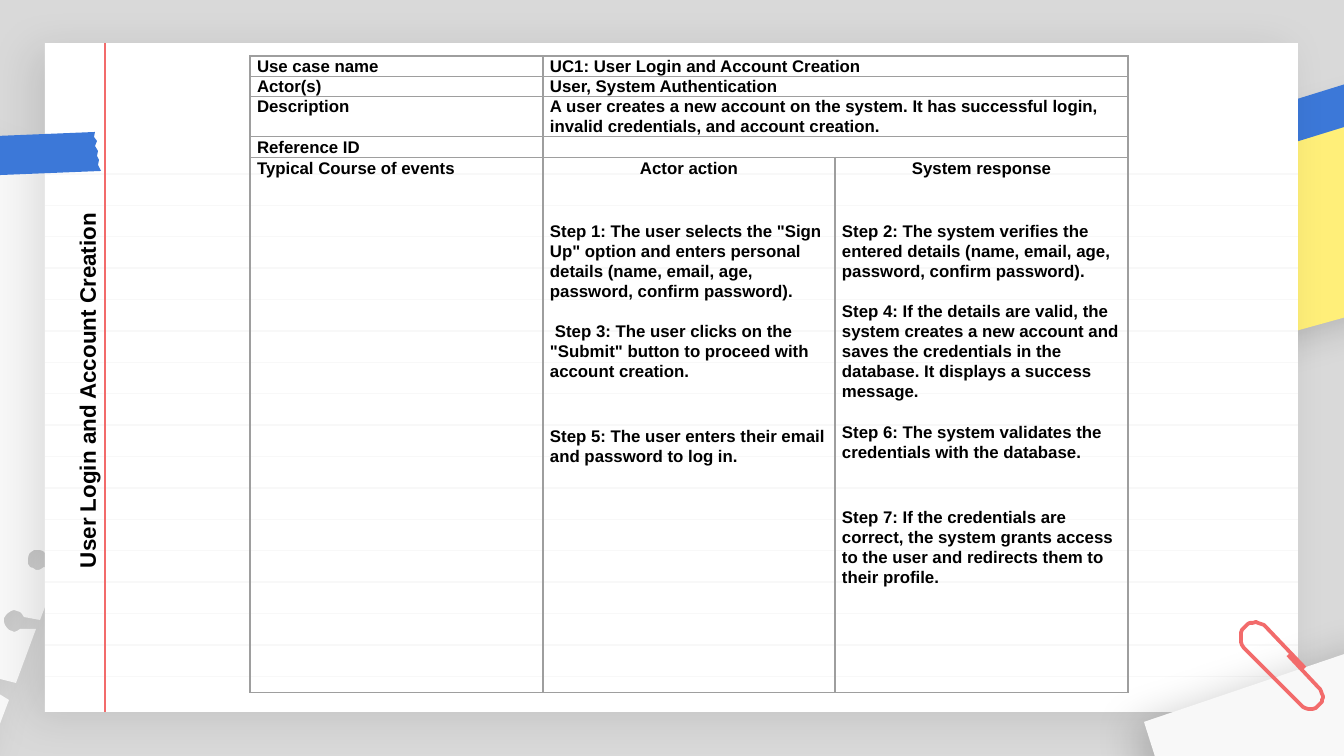
from pptx import Presentation
from pptx.dml.color import RGBColor
from pptx.enum.shapes import MSO_CONNECTOR as Conn, MSO_SHAPE as Kind
from pptx.enum.text import MSO_ANCHOR as Anchor, PP_ALIGN as Align
from pptx.oxml import parse_xml
from pptx.oxml.ns import nsdecls
from pptx.util import Pt

SCALE = 914400 / 134.4
WIDE, HIGH = 1344, 756
FONT = "Arial"
TITLE = "User Login and Account Creation"
HEAD = [
    ("Use case name", "UC1: User Login and Account Creation"),
    ("Actor(s)", "User, System Authentication"),
    ("Description", "A user creates a new account on the system. It has successful login, "
                    "invalid credentials, and account creation."),
    ("Reference ID", ""),
]
EVENTS = "Typical Course of events"
STEPS = [
    ("Actor action", [
        (23, 0, 'Step 1: The user selects the "Sign Up" option and enters personal '
                'details (name, email, age, password, confirm password).'),
        (10.75, 5, 'Step 3: The user clicks on the "Submit" button to proceed with account creation.'),
        (24, 0, "Step 5: The user enters their email and password to log in."),
    ]),
    ("System response", [
        (23, 0, "Step 2: The system verifies the entered details (name, email, age, "
                "password, confirm password)."),
        (10.75, 0, "Step 4: If the details are valid, the system creates a new account and saves "
                   "the credentials in the database. It displays a success message."),
        (10.75, 0, "Step 6: The system validates the credentials with the database."),
        (24, 0, "Step 7: If the credentials are correct, the system grants access to the "
                "user and redirects them to their profile."),
    ]),
]
COLS = [293, 292, 293]
ROWS = [20, 20, 40, 21, 535]

NOTE = [(1220, 145), (1274, 337), (1516, 270), (1462, 78)]
STRIP = [(1273, 149), (1274, 144), (1270, 140), (1270, 133), (1267, 129), (1267, 124),
         (1265, 120), (1265, 116), (1262, 110), (1394, 69), (1392, 75), (1396, 78),
         (1395, 85), (1399, 89), (1398, 94), (1402, 97), (1402, 103), (1406, 108)]
SHEET = [(-531, 632), (-316, 66), (-269, 44), (192, 219), (63, 559), (47, 556),
         (43, 547, 30, 547, 28, 558), (25, 567, 38, 574, 44, 567), (58, 573),
         (40, 620), (24, 617), (20, 607, 7, 609, 4, 618), (3, 629, 13, 636, 20, 629),
         (36, 629), (16, 683), (0, 679), (-3, 671, -16, 671, -19, 680),
         (-22, 688, -12, 696, -4, 692), (9, 700), (-7, 742), (-50, 855), (-508, 680)]
CORNER = [(1380, 642), (1443, 832), (1204, 911), (1144, 722)]
CLIP = [(1305, 668), (1266, 627), (1260, 621, 1251, 621, 1246, 626),
        (1240, 631, 1239, 640, 1244, 648), (1301, 705),
        (1306, 710, 1315, 711, 1320, 704), (1325, 699, 1323, 693, 1318, 687), (1288, 655)]
TAPE = [(-23, 176), (-22, 171), (-24, 165), (-23, 160), (-26, 155), (-23, 151),
        (-26, 145), (-24, 141), (-27, 137), (95, 132), (94, 137), (97, 141), (95, 146),
        (98, 151), (97, 156), (99, 160), (98, 165), (101, 171)]


def px(num):
    return round(num * SCALE)


def tint(code):
    return RGBColor.from_string(code)


def trace(path):
    pts = [path[0]]
    for seg in path[1:]:
        if len(seg) == 2:
            pts.append(seg)
            continue
        a, b, c, d = pts[-1], seg[:2], seg[2:4], seg[4:]
        for i in range(1, 9):
            t = i / 8
            u = 1 - t
            pts.append(tuple(u**3 * a[k] + 3 * u * u * t * b[k] + 3 * u * t * t * c[k] + t**3 * d[k]
                             for k in (0, 1)))
    return pts


def paint(shape, code, shade=0):
    shape.fill.solid()
    shape.fill.fore_color.rgb = tint(code)
    shape.line.fill.background()
    shape.shadow.inherit = False
    if shade:
        shape._element.spPr.find("{*}effectLst").append(parse_xml(
            f'<a:outerShdw {nsdecls("a")} blurRad="{Pt(22.5)}" dist="{Pt(7.5)}" dir="9000000" '
            f'algn="bl" rotWithShape="0"><a:srgbClr val="000000">'
            f'<a:alpha val="{shade * 1000}"/></a:srgbClr></a:outerShdw>'))


def form(path, shut=True):
    pts = trace(path)
    draft = shapes.build_freeform(*pts[0], scale=SCALE)
    draft.add_line_segments(pts[1:], close=shut)
    return draft.convert_to_shape()


def rule(x1, y1, x2, y2, code):
    line = shapes.add_connector(Conn.STRAIGHT, px(x1), px(y1), px(x2), px(y2))
    line.line.color.rgb = tint(code)
    line.line.width = Pt(0.75)
    line._element.spPr.append(parse_xml(f'<a:effectLst {nsdecls("a")}/>'))


def style(para, size):
    for run in para.runs:
        run.font.name = FONT
        run.font.size = Pt(size)
        run.font.bold = True
        run.font.color.rgb = tint("000000")


def write(para, text):
    para.text = text
    para.line_spacing = 1.07
    if text:
        style(para, 9)
    else:
        para._p.get_or_add_endParaRPr().set("sz", "900")


def frame(cell):
    props = cell._tc.get_or_add_tcPr()
    for side in "LRTB":
        props.append(parse_xml(
            f'<a:ln{side} {nsdecls("a")} w="{Pt(0.75)}"><a:solidFill>'
            f'<a:srgbClr val="9E9E9E"/></a:solidFill></a:ln{side}>'))
    cell.fill.background()
    cell.margin_left = cell.margin_right = px(7)
    cell.margin_top = cell.margin_bottom = 0
    write(cell.text_frame.paragraphs[0], "")


deck = Presentation()
deck.slide_width, deck.slide_height = px(WIDE), px(HIGH)
slide = deck.slides.add_slide(deck.slide_layouts[6])
slide.background.fill.solid()
slide.background.fill.fore_color.rgb = tint("D9D9D9")
shapes = slide.shapes

paint(form(NOTE), "FFEF79", 20)
paint(form(STRIP), "3C78D8")
paint(form(SHEET), "F8F8F8", 10)
paper = shapes.add_shape(Kind.RECTANGLE, px(45), px(43), px(1253), px(669))
paint(paper, "FFFFFF", 10)
for i in range(17):
    y = 174 + 31.4 * i
    rule(45, y, 1298, y, "F8F8F8")
rule(105, 712, 105, 43, "F26B6B")
paint(form(CORNER), "F8F8F8", 20)
clip = form(CLIP, False)
clip.fill.background()
clip.line.color.rgb = tint("F26B6B")
clip.line.width = Pt(2)
clip.shadow.inherit = False
paint(form(TAPE), "3C78D8")

grid = shapes.add_table(len(ROWS), len(COLS), px(250), px(56), px(sum(COLS)), px(sum(ROWS))).table
grid.first_row = grid.horz_banding = False
for col, size in zip(grid.columns, COLS):
    col.width = px(size)
for row, size in zip(grid.rows, ROWS):
    row.height = px(size)
for cell in grid.iter_cells():
    frame(cell)
for r, (label, text) in enumerate(HEAD):
    grid.cell(r, 1).merge(grid.cell(r, 2))
    write(grid.cell(r, 0).text_frame.paragraphs[0], label)
    if text:
        write(grid.cell(r, 1).text_frame.paragraphs[0], text)
last = len(HEAD)
write(grid.cell(last, 0).text_frame.paragraphs[0], EVENTS)
for c, (label, steps) in enumerate(STEPS, 1):
    body = grid.cell(last, c).text_frame
    write(body.paragraphs[0], label)
    body.paragraphs[0].alignment = Align.CENTER
    for gap, dent, text in steps:
        para = body.add_paragraph()
        write(para, text)
        para.space_before = Pt(gap)
        if dent:
            para._p.get_or_add_pPr().set("indent", str(px(dent)))

box = shapes.add_textbox(px(-110), px(370), px(394), px(40))
box.rotation = 270
box.text_frame.word_wrap = True
box.text_frame.vertical_anchor = Anchor.MIDDLE
box.text_frame.margin_left = px(19)
box.text_frame.text = TITLE
style(box.text_frame.paragraphs[0], 12)

deck.save("out.pptx")
